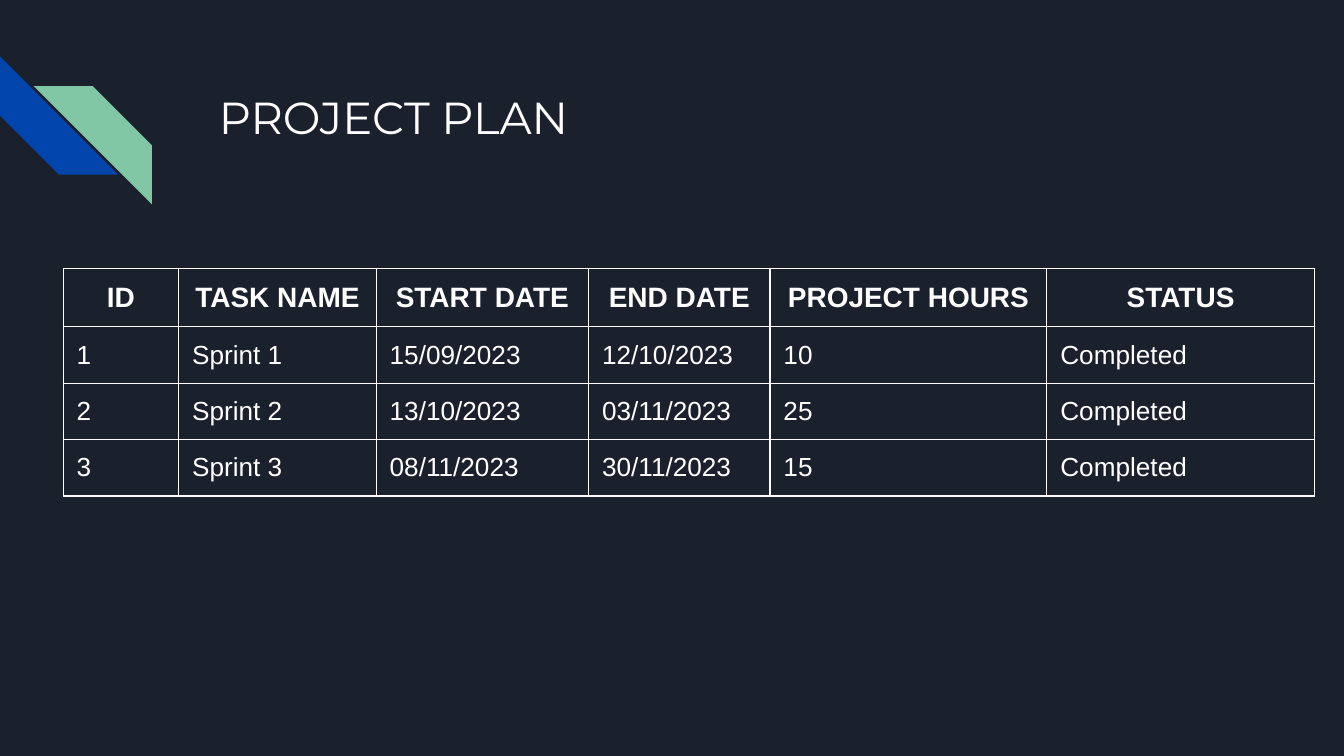
import pptx
import pptx.util
import pptx.dml.color
import pptx.enum.shapes
import pptx.enum.text
import pptx.oxml
import pptx.oxml.ns

Inches = pptx.util.Inches
Pt = pptx.util.Pt

# Content
TITLE = "PROJECT PLAN"
HEADINGS = ["ID", "TASK NAME", "START DATE", "END DATE", "PROJECT HOURS", "STATUS"]
SPRINTS = [
    ["1", "Sprint 1", "15/09/2023", "12/10/2023", "10", "Completed"],
    ["2", "Sprint 2", "13/10/2023", "03/11/2023", "25", "Completed"],
    ["3", "Sprint 3", "08/11/2023", "30/11/2023", "15", "Completed"],
]

# Layout in inches
SLIDE_WIDTH = 10
SLIDE_HEIGHT = SLIDE_WIDTH * 9 / 16
COLUMN_WIDTHS = [0.86, 1.47, 1.58, 1.35, 2.06, 1.99]
ROW_HEIGHT = 0.42
INSET = 0.1
STRIPE_SIZE = 0.88
STRIPES = [(0, 0.42, 270, "0145AC"), (0.25, 0.64, 90, "82C7A5")]  # left, top, turn, colour
NAVY, WHITE = "1B212C", "FFFFFF"


def color(value):
    return pptx.dml.color.RGBColor.from_string(value)


def style_text(paragraph, font_name, size, bold=False):
    for run in paragraph.runs:
        run.font.name = font_name
        run.font.size = Pt(size)
        run.font.bold = bold
        run.font.color.rgb = color(WHITE)


def set_insets(box):
    box.margin_left = box.margin_right = Inches(INSET)
    box.margin_top = box.margin_bottom = Inches(INSET)


def add_borders(cell, line_color, points):
    properties = cell._tc.get_or_add_tcPr()
    for position, side in enumerate(("lnL", "lnR", "lnT", "lnB")):
        border = pptx.oxml.parse_xml(
            f'<a:{side} {pptx.oxml.ns.nsdecls("a")} w="{Pt(points)}">'
            f'<a:solidFill><a:srgbClr val="{line_color}"/></a:solidFill></a:{side}>')
        properties.insert(position, border)


def add_stripes(slide):
    for left, top, turn, fill in STRIPES:
        stripe = slide.shapes.add_shape(
            pptx.enum.shapes.MSO_SHAPE.DIAGONAL_STRIPE,
            Inches(left), Inches(top), Inches(STRIPE_SIZE), Inches(STRIPE_SIZE))
        stripe.adjustments[0] = 0.5
        stripe.rotation = turn
        stripe.shadow.inherit = False
        stripe.fill.solid()
        stripe.fill.fore_color.rgb = color(fill)
        stripe.line.fill.background()


def add_plan(slide):
    rows = [HEADINGS] + SPRINTS
    plan = slide.shapes.add_table(
        len(rows), len(HEADINGS), Inches(0.47), Inches(2),
        Inches(sum(COLUMN_WIDTHS)), Inches(ROW_HEIGHT * len(rows))).table
    plan.first_row = plan.horz_banding = False
    for column, width in zip(plan.columns, COLUMN_WIDTHS):
        column.width = Inches(width)
    for row_number, entries in enumerate(rows):
        plan.rows[row_number].height = Inches(ROW_HEIGHT)
        is_heading = row_number == 0
        for column_number, entry in enumerate(entries):
            cell = plan.cell(row_number, column_number)
            cell.text_frame.text = entry
            set_insets(cell)
            cell.fill.background()
            add_borders(cell, WHITE, 0.75)
            paragraph = cell.text_frame.paragraphs[0]
            style_text(paragraph, "Arial", 15 if is_heading else 14, is_heading)
            if is_heading:
                cell.vertical_anchor = pptx.enum.text.MSO_ANCHOR.MIDDLE
                paragraph.alignment = pptx.enum.text.PP_ALIGN.CENTER


def add_title(slide):
    title = slide.shapes.add_textbox(
        Inches(1.53), Inches(0.57), Inches(3.28), Inches(0.61)).text_frame
    title.word_wrap = True
    title.auto_size = pptx.enum.text.MSO_AUTO_SIZE.SHAPE_TO_FIT_TEXT
    set_insets(title)
    title.text = TITLE
    style_text(title.paragraphs[0], "Montserrat", 24)


def main():
    deck = pptx.Presentation()
    deck.slide_width, deck.slide_height = Inches(SLIDE_WIDTH), Inches(SLIDE_HEIGHT)
    slide = deck.slides.add_slide(deck.slide_layouts[6])
    slide.background.fill.solid()
    slide.background.fill.fore_color.rgb = color(NAVY)
    add_stripes(slide)
    add_plan(slide)
    add_title(slide)
    deck.save("out.pptx")


if __name__ == "__main__":
    main()
